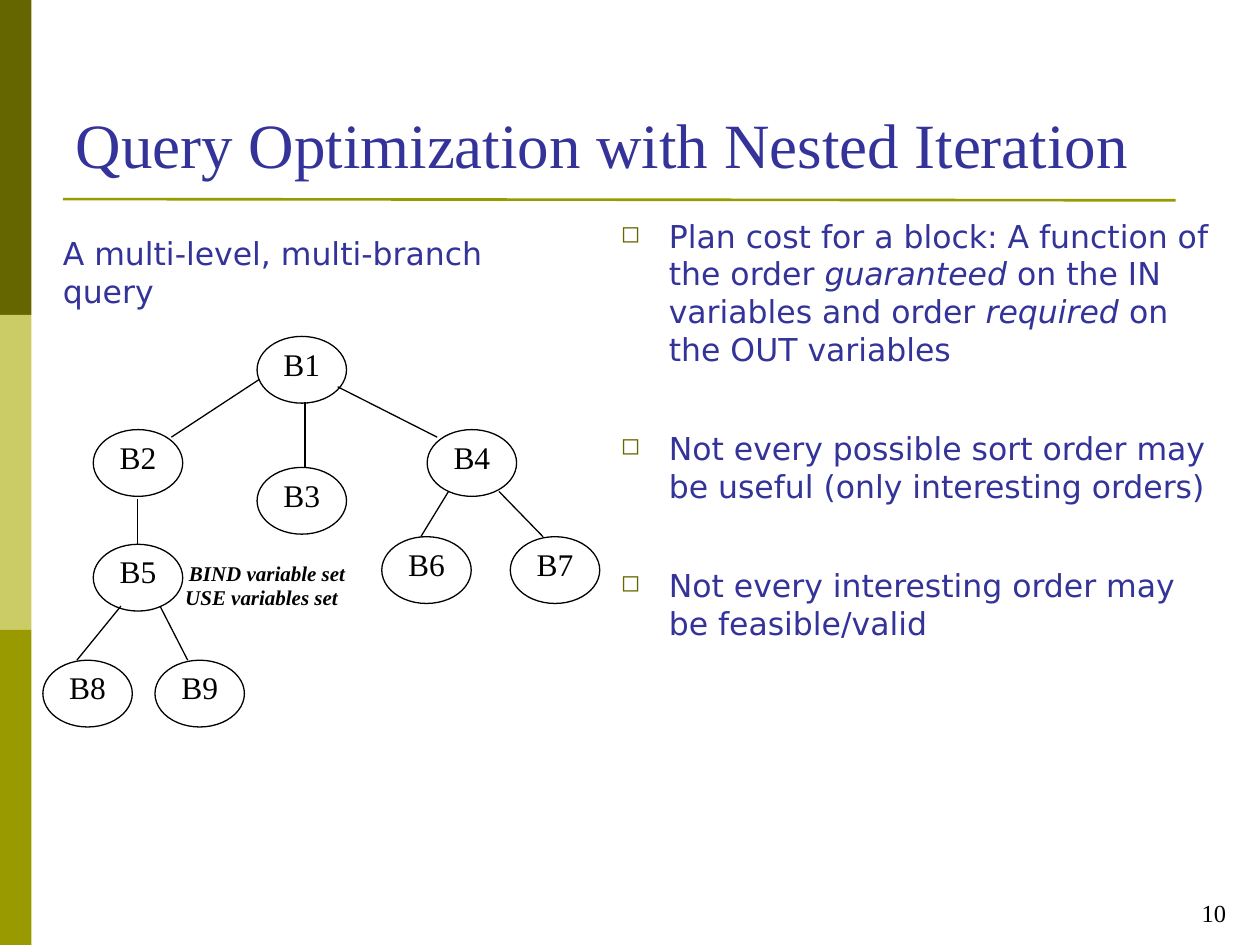
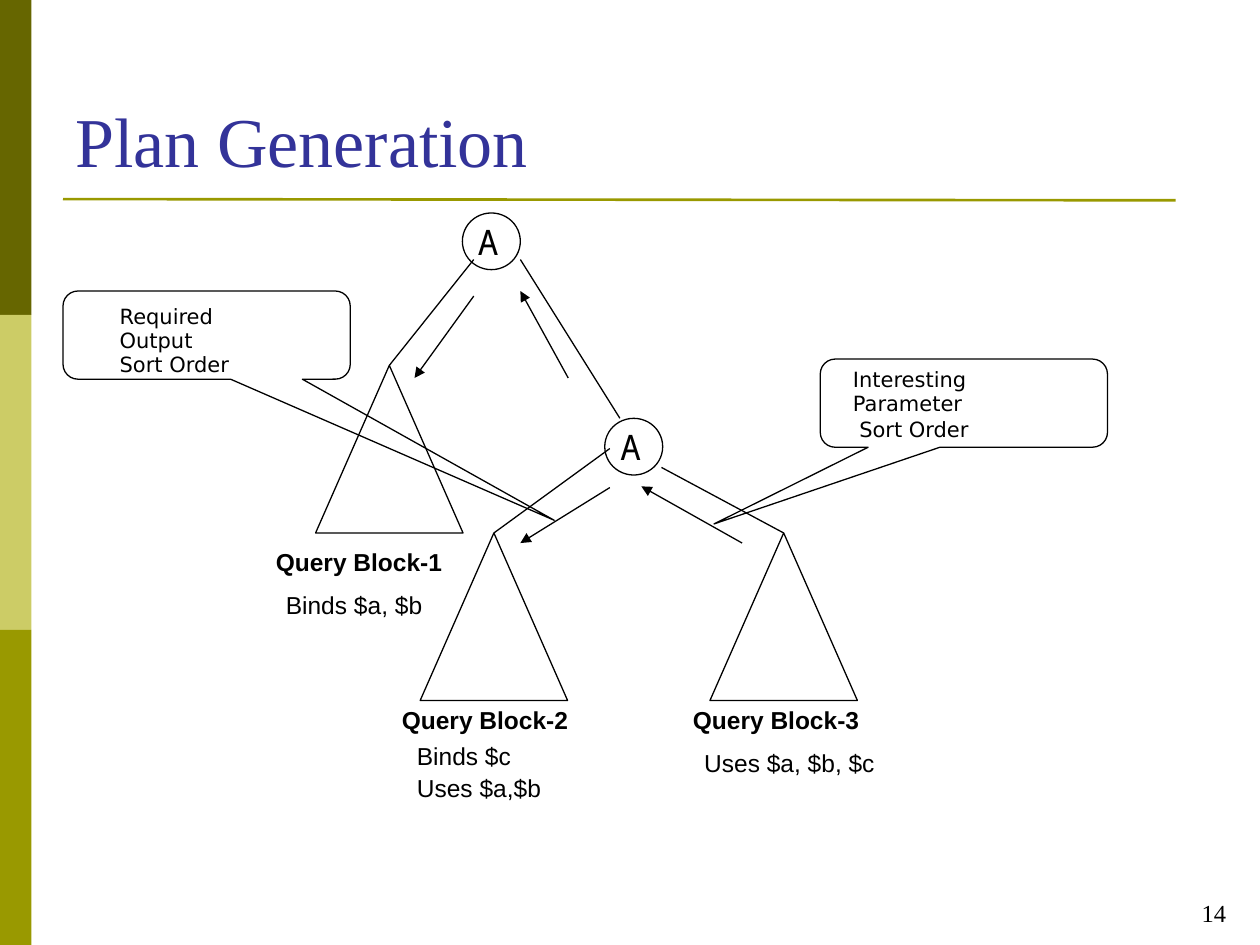
from typing import NamedTuple

from lxml import etree
from pptx import Presentation
from pptx.dml.color import RGBColor
from pptx.enum.shapes import MSO_CONNECTOR, MSO_SHAPE
from pptx.enum.text import MSO_ANCHOR, MSO_AUTO_SIZE, PP_ALIGN
from pptx.oxml.ns import qn
from pptx.util import Inches, Pt

RECT, OVAL = MSO_SHAPE.RECTANGLE, MSO_SHAPE.OVAL
TRIANGLE = MSO_SHAPE.ISOSCELES_TRIANGLE
CALLOUT = MSO_SHAPE.ROUNDED_RECTANGULAR_CALLOUT
STRAIGHT = MSO_CONNECTOR.STRAIGHT
LEFT, CENTER, RIGHT = PP_ALIGN.LEFT, PP_ALIGN.CENTER, PP_ALIGN.RIGHT
TOP, MIDDLE, BOTTOM = MSO_ANCHOR.TOP, MSO_ANCHOR.MIDDLE, MSO_ANCHOR.BOTTOM
NO_AUTOFIT = MSO_AUTO_SIZE.NONE

COLORS = {
    "text": "333399",
    "ink": "000000",
    "dark": "666600",
    "light": "CCCC66",
    "olive": "999900",
}
SERIF, SANS, ARIAL, MONO = "Times New Roman", "DejaVu Sans", "Arial", "Noto Sans Mono"
TITLE_BOTTOM = 1.49
BLOCK_W, BLOCK_H = 0.71, 0.53
APPLY_W, APPLY_H = 0.46, 0.45
TREE_W, TREE_H = 1.17, 1.33
CALLOUT_W, CALLOUT_H = 2.28, 0.7


class Style(NamedTuple):
    font: str
    size: float
    color: str = "ink"
    bold: bool = False
    italic: bool = False


class Para(NamedTuple):
    runs: tuple[tuple[str, bool], ...]
    before: float = 0
    indent: float = 0


class Box(NamedTuple):
    x: float
    y: float
    w: float
    h: float


class Label(NamedTuple):
    box: Box
    paras: tuple[Para, ...]
    style: Style
    wrap: bool = False
    inset: bool = True
    spacing: float = 1.0


class Edge(NamedTuple):
    x1: float
    y1: float
    x2: float
    y2: float
    arrow: bool = False


class Block(NamedTuple):
    name: str
    x: float
    y: float


class Callout(NamedTuple):
    x: float
    y: float
    tip_x: float
    tip_y: float


def plain(text: str, before: float = 0, indent: float = 0) -> Para:
    return Para(((text, False),), before, indent)


NUMBER = Style(SERIF, 14)
NODE = Style(SERIF, 18)
APPLY = Style(MONO, 20)
BODY = Style(SANS, 18, "text")
SET_NOTE = Style(SERIF, 12, bold=True, italic=True)
BLOCK_NAME = Style(ARIAL, 14, bold=True)
VARIABLES = Style(ARIAL, 14)
CALLOUT_TEXT = Style(SANS, 12)

BLOCKS = (
    Block("B1", 2.04, 2.67), Block("B2", 0.74, 3.41), Block("B3", 2.04, 3.71),
    Block("B4", 3.39, 3.41), Block("B5", 0.74, 4.32), Block("B6", 3.03, 4.26),
    Block("B7", 4.05, 4.26), Block("B8", 0.34, 5.24), Block("B9", 1.23, 5.24),
)
BLOCK_EDGES = (
    Edge(2.06, 3.01, 1.36, 3.47), Edge(2.42, 3.19, 2.42, 3.71),
    Edge(2.68, 3.07, 3.47, 3.47), Edge(1.09, 3.96, 1.09, 4.32),
    Edge(0.96, 4.81, 0.61, 5.24), Edge(1.27, 4.81, 1.49, 5.24),
    Edge(3.56, 3.9, 3.34, 4.26), Edge(3.96, 3.9, 4.31, 4.26),
)
BLOCK_LABELS = (
    Label(Box(1.5, 4.45, 1.24, 0.2), (plain("BIND variable set"),), SET_NOTE, inset=False),
    Label(Box(1.47, 4.64, 1.21, 0.2), (plain("USE variables set"),), SET_NOTE, inset=False),
    Label(Box(0.4, 1.81, 4.18, 0.4), (plain("A multi-level, multi-branch query"),),
          BODY, wrap=True),
)
ORDER_POINTS = (
    Para((("Plan cost for a block: A function of the order ", False),
          ("guaranteed", True),
          (" on the IN variables and order ", False),
          ("required", True),
          (" on the OUT variables", False))),
    plain("Not every possible sort order may be useful (only interesting orders)", 35),
    plain("Not every interesting order may be feasible/valid", 35),
)

APPLY_NODES = ((3.67, 1.69), (4.8, 3.32))
PLAN_TREES = ((3.09, 2.9), (3.92, 4.23), (6.22, 4.23))
PLAN_EDGES = (
    Edge(3.09, 2.9, 3.76, 2.06), Edge(4.92, 3.32, 4.13, 2.06),
    Edge(4.84, 3.56, 3.92, 4.23), Edge(5.25, 3.71, 6.22, 4.23),
    Edge(3.76, 2.35, 3.29, 3, True), Edge(4.51, 3, 4.13, 2.31, True),
    Edge(4.84, 3.87, 4.13, 4.31, True), Edge(5.89, 4.31, 5.09, 3.86, True),
)
CALLOUTS = (Callout(0.5, 2.31, 1.21, 2.1), Callout(6.51, 2.85, -0.87, 1.37))
PLAN_LABELS = (
    Label(Box(2.09, 4.31, 1.52, 0.33), (plain("Query Block-1"),), BLOCK_NAME, spacing=0.96),
    Label(Box(3.09, 5.56, 1.52, 0.33), (plain("Query Block-2"),), BLOCK_NAME, spacing=0.96),
    Label(Box(5.4, 5.56, 1.52, 0.33), (plain("Query Block-3"),), BLOCK_NAME, spacing=0.96),
    Label(Box(2.17, 4.65, 1.58, 0.33), (plain("Binds $a, $b"),), VARIABLES, spacing=0.96),
    Label(Box(3.21, 5.85, 1.25, 0.56), (plain("Binds $c"), plain("Uses $a,$b", 2)),
          VARIABLES, spacing=0.96),
    Label(Box(5.49, 5.9, 1.55, 0.33), (plain("Uses $a, $b, $c"),), VARIABLES, spacing=0.96),
    Label(Box(0.95, 2.42, 1.36, 0.57),
          (plain("Required"), plain("Output"), plain("Sort Order")),
          CALLOUT_TEXT, inset=False, spacing=0.96),
    Label(Box(6.77, 2.92, 1.74, 0.57),
          (plain("Interesting"), plain("Parameter"), plain("Sort Order", 1, 0.05)),
          CALLOUT_TEXT, inset=False, spacing=0.96),
)


def rgb(name: str) -> RGBColor:
    return RGBColor.from_string(COLORS[name])


def lengths(box: Box) -> tuple:
    return tuple(Inches(v) for v in box)


def set_margins(tf, left: float, top: float, right: float, bottom: float) -> None:
    tf.margin_left, tf.margin_top = Inches(left), Inches(top)
    tf.margin_right, tf.margin_bottom = Inches(right), Inches(bottom)


def add_run(p, text: str, style: Style, italic: bool = False) -> None:
    r = p.add_run()
    r.text = text
    font = r.font
    font.name, font.size = style.font, Pt(style.size)
    font.bold, font.italic = style.bold, style.italic or italic
    font.color.rgb = rgb(style.color)


def add_bullet(p) -> None:
    pPr = p._p.get_or_add_pPr()
    pPr.set("marL", str(Inches(0.38)))
    pPr.set("indent", str(-Inches(0.38)))
    color = etree.SubElement(pPr, qn("a:buClr"))
    etree.SubElement(color, qn("a:srgbClr"), val=COLORS["dark"])
    etree.SubElement(pPr, qn("a:buSzPct"), val="75000")
    etree.SubElement(pPr, qn("a:buChar"), char="◻")


def add_label(s, label: Label, align=LEFT, bullets: bool = False) -> None:
    tf = s.shapes.add_textbox(*lengths(label.box)).text_frame
    tf.word_wrap = label.wrap
    tf.auto_size = NO_AUTOFIT
    tf.vertical_anchor = TOP
    set_margins(tf, *((0.1, 0.05, 0.1, 0.05) if label.inset else (0, 0, 0, 0)))
    for i, para in enumerate(label.paras):
        p = tf.add_paragraph() if i else tf.paragraphs[0]
        if bullets:
            add_bullet(p)
        elif para.indent:
            p._p.get_or_add_pPr().set("marL", str(Inches(para.indent)))
        p.alignment, p.line_spacing = align, label.spacing
        if para.before:
            p.space_before = Pt(para.before)
        for text, italic in para.runs:
            add_run(p, text, label.style, italic)


def add_outline(s, kind, box: Box):
    sp = s.shapes.add_shape(kind, *lengths(box))
    sp.shadow.inherit = False
    sp.fill.background()
    sp.line.color.rgb = rgb("ink")
    sp.line.width = Pt(0.75)
    return sp


def add_node(s, box: Box, text: str, style: Style, right: float, bottom: float) -> None:
    tf = add_outline(s, OVAL, box).text_frame
    tf.word_wrap = False
    tf.vertical_anchor = MIDDLE
    set_margins(tf, 0, 0, right, bottom)
    p = tf.paragraphs[0]
    p.alignment = CENTER
    add_run(p, text, style)


def add_edge(s, edge: Edge, color: str = "ink", width: float = 0.75) -> None:
    points = (Inches(v) for v in edge[:4])
    cx = s.shapes.add_connector(STRAIGHT, *points)
    cx.line.color.rgb = rgb(color)
    cx.line.width = Pt(width)
    if edge.arrow:
        etree.SubElement(cx.line._get_or_add_ln(), qn("a:tailEnd"), type="triangle")
    etree.SubElement(cx._element.spPr, qn("a:effectLst"))


def add_slide(prs, title: str, size: float, top: float, number: str):
    s = prs.slides.add_slide(prs.slide_layouts[5])
    for i, color in enumerate(("dark", "light", "olive")):
        band = s.shapes.add_shape(RECT, *lengths(Box(0, 2.5 * i, 0.25, 2.5)))
        band.shadow.inherit = False
        band.fill.solid()
        band.fill.fore_color.rgb = rgb(color)
        band.line.fill.background()
    add_edge(s, Edge(0.5, 1.58, 9.33, 1.59), "olive", 1.5)
    sp = s.shapes.title
    sp.left, sp.top, sp.width, sp.height = lengths(Box(0.5, top, 9, TITLE_BOTTOM - top))
    tf = sp.text_frame
    tf.word_wrap, tf.auto_size, tf.vertical_anchor = True, NO_AUTOFIT, BOTTOM
    set_margins(tf, 0.1, 0.05, 0.1, 0.05)
    p = tf.paragraphs[0]
    p.alignment = LEFT
    add_run(p, title, Style(SERIF, size, "text"))
    add_label(s, Label(Box(9.25, 7.08, 0.58, 0.27), (plain(number),), NUMBER, wrap=True), RIGHT)
    return s


def build_nested_iteration(prs) -> None:
    s = add_slide(prs, "Query Optimization with Nested Iteration", 36, 0.69, "10")
    for block in BLOCKS:
        add_node(s, Box(block.x, block.y, BLOCK_W, BLOCK_H), block.name, NODE, 0, 0.1)
    for edge in BLOCK_EDGES:
        add_edge(s, edge)
    for label in BLOCK_LABELS:
        add_label(s, label)
    add_label(s, Label(Box(4.83, 1.67, 4.92, 5.08), ORDER_POINTS, BODY, wrap=True), bullets=True)


def build_plan_generation(prs) -> None:
    s = add_slide(prs, "Plan Generation", 40, 0.3, "14")
    for callout in CALLOUTS:
        sp = add_outline(s, CALLOUT, Box(callout.x, callout.y, CALLOUT_W, CALLOUT_H))
        for i, value in enumerate((callout.tip_x, callout.tip_y, 0.17)):
            sp.adjustments[i] = value
    for apex_x, apex_y in PLAN_TREES:
        add_outline(s, TRIANGLE, Box(apex_x - TREE_W / 2, apex_y, TREE_W, TREE_H))
    for edge in PLAN_EDGES:
        add_edge(s, edge)
    for x, y in APPLY_NODES:
        add_node(s, Box(x, y, APPLY_W, APPLY_H), "A", APPLY, 0.05, 0)
    for label in PLAN_LABELS:
        add_label(s, label)


def main() -> None:
    prs = Presentation()
    prs.slide_width, prs.slide_height = Inches(10), Inches(7.5)
    build_nested_iteration(prs)
    build_plan_generation(prs)
    prs.save("out.pptx")


if __name__ == "__main__":
    main()
